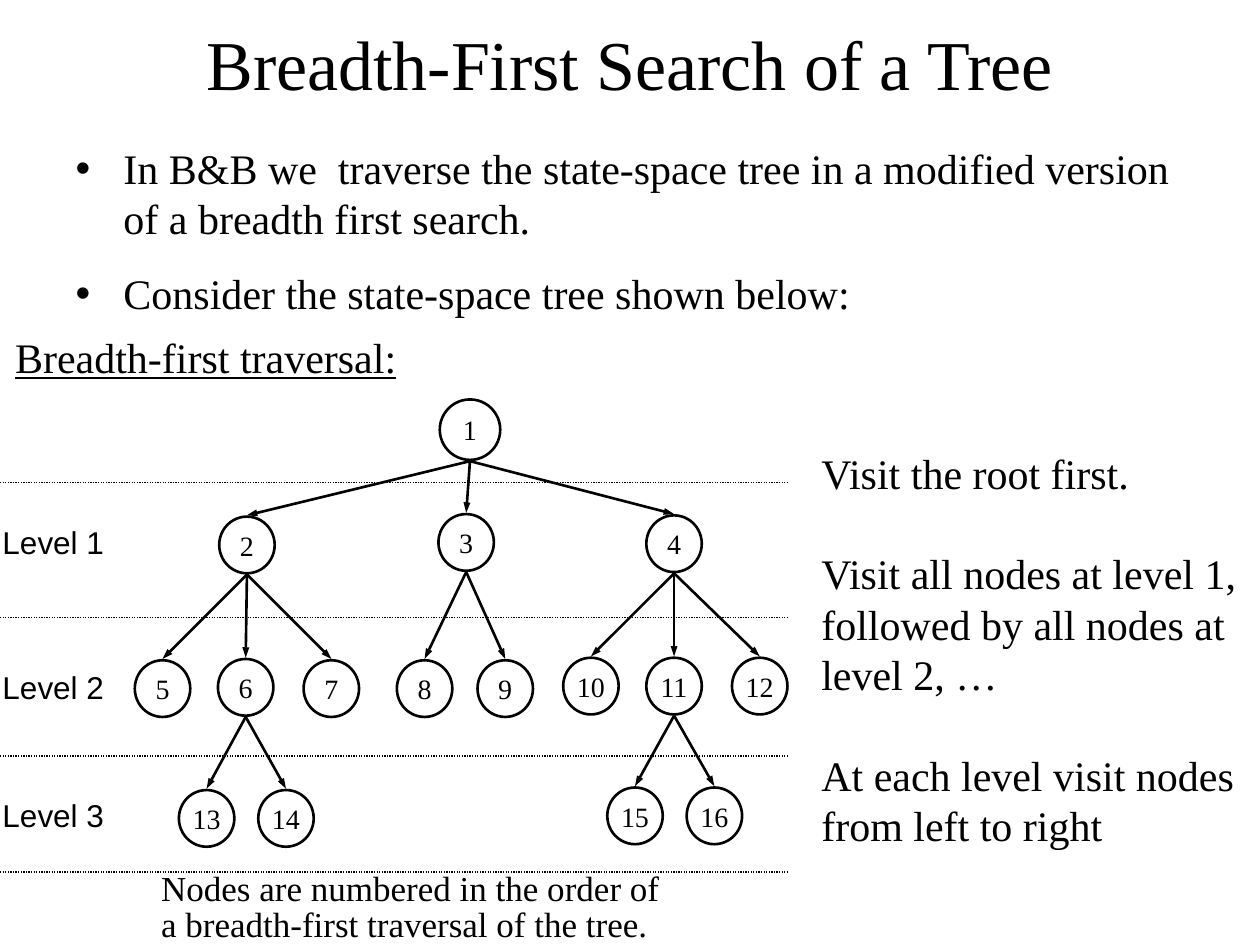
from lxml import etree
from pptx import Presentation
from pptx.dml.color import RGBColor
from pptx.enum.dml import MSO_LINE
from pptx.enum.shapes import MSO_CONNECTOR, MSO_SHAPE
from pptx.enum.text import MSO_ANCHOR, MSO_AUTO_SIZE, PP_ALIGN
from pptx.oxml.ns import qn
from pptx.util import Inches, Pt

LEFT, CENTER = PP_ALIGN.LEFT, PP_ALIGN.CENTER
TOP, MIDDLE = MSO_ANCHOR.TOP, MSO_ANCHOR.MIDDLE
STRAIGHT, OVAL, DOTS = MSO_CONNECTOR.STRAIGHT, MSO_SHAPE.OVAL, MSO_LINE.ROUND_DOT
FIXED = MSO_AUTO_SIZE.NONE

THEME = {
    "ink": RGBColor(0, 0, 0), "serif": "Times New Roman", "sans": "Arial",
    "title": 40, "body": 24, "note": 20, "label": 18, "node": 16,
    "edge": 1.5, "rule": 0.75,
}

TITLE = "Breadth-First Search of a Tree"
POINTS = [
    "In B&B we  traverse the state-space tree in a modified version of a breadth first search.",
    "Consider the state-space tree shown below:",
]
HEAD = "Breadth-first traversal:"
STEPS = [
    "Visit the root first.",
    "Visit all nodes at level 1, followed by all nodes at level 2, …",
    "At each level visit nodes from left to right",
]
NOTE = ["Nodes are numbered in the order of", "a breadth-first traversal of the tree."]
LEVELS = [("Level 1", 4.1), ("Level 2", 5.25), ("Level 3", 6.27)]
RULES = [3.83, 4.9, 6, 6.92]

# number: (centre x, top, parent)
NODES = {
    1: (3.73, 3.17, None),
    2: (1.96, 4.1, 1), 3: (3.7, 4.08, 1), 4: (5.35, 4.09, 1),
    5: (1.29, 5.24, 2), 6: (1.95, 5.23, 2), 7: (2.63, 5.24, 2),
    8: (3.37, 5.24, 3), 9: (4.01, 5.24, 3),
    10: (4.69, 5.22, 4), 11: (5.35, 5.22, 4), 12: (6.03, 5.22, 4),
    13: (1.64, 6.27, 6), 14: (2.27, 6.27, 6),
    15: (5.04, 6.25, 11), 16: (5.67, 6.25, 11),
}
ROOT_SIZE, NODE_SIZE, GAP = (0.48, 0.48), (0.44, 0.45), 0.01


def write(shape, lines, size, font="serif", align=LEFT, anchor=TOP, wrap=True,
          pad=(0.1, 0.05, 0.1, 0.05), before=0, under=None):
    frame = shape.text_frame
    frame.auto_size = FIXED
    frame.word_wrap = wrap
    frame.vertical_anchor = anchor
    (frame.margin_left, frame.margin_top,
     frame.margin_right, frame.margin_bottom) = map(Inches, pad)
    for i, line in enumerate(lines):
        para = frame.add_paragraph() if i else frame.paragraphs[0]
        para.alignment = align
        para.space_before = Pt(before if i else 0)
        run = para.add_run()
        run.text = line
        run.font.size = Pt(THEME[size])
        run.font.name = THEME[font]
        run.font.color.rgb = THEME["ink"]
        run.font.underline = under
    return frame.paragraphs


def place(shape, *box):
    shape.left, shape.top, shape.width, shape.height = map(Inches, box)
    return shape


def label(slide, box, lines, size, **form):
    return write(slide.shapes.add_textbox(*map(Inches, box)), lines, size, **form)


def link(slide, *ends, width="edge", arrow=False):
    line = slide.shapes.add_connector(STRAIGHT, *map(Inches, ends))
    line.line.color.rgb = THEME["ink"]
    line.line.width = Pt(THEME[width])
    if arrow:
        etree.SubElement(line.line._get_or_add_ln(), qn("a:tailEnd"),
                         type="triangle", w="sm", len="med")
    etree.SubElement(line._element.spPr, qn("a:effectLst"))
    return line


def bullet(para):
    props = para._p.get_or_add_pPr()
    props.set("marL", str(Inches(0.38)))
    props.set("indent", str(Inches(-0.38)))
    etree.SubElement(props, qn("a:buChar"), char="•")


def draw_tree(slide):
    for num, (x, top, parent) in NODES.items():
        wide, high = NODE_SIZE if parent else ROOT_SIZE
        node = slide.shapes.add_shape(
            OVAL, *map(Inches, (x - wide / 2, top, wide, high)))
        node.shadow.inherit = False
        node.fill.background()
        node.line.color.rgb = THEME["ink"]
        node.line.width = Pt(THEME["edge"])
        write(node, [str(num)], "node", align=CENTER, anchor=MIDDLE, wrap=False)
        if parent:
            px, ptop, above = NODES[parent]
            base = ptop + (NODE_SIZE if above else ROOT_SIZE)[1]
            link(slide, px, base + GAP, x, top - GAP, arrow=True)


def main():
    deck = Presentation()
    deck.slide_width, deck.slide_height = Inches(10), Inches(7.5)
    slide = deck.slides.add_slide(deck.slide_layouts[1])
    title, body = slide.placeholders
    write(place(title, 0.5, 0, 9, 1), [TITLE], "title", align=CENTER, anchor=MIDDLE)
    for para in write(place(body, 0.5, 1.08, 9.17, 6.42), POINTS, "body", before=14):
        bullet(para)

    label(slide, (1.18, 6.78, 4.32, 0.72), NOTE, "note",
          pad=(0.1, 0.1, 0.1, 0))[1].line_spacing = 0.85
    draw_tree(slide)
    label(slide, (0.06, 2.58, 3.18, 0.5), [HEAD], "body", wrap=False,
          pad=(0.06, 0.05, 0.1, 0.05), under=True)
    label(slide, (6.42, 3.5, 3.58, 3.3), STEPS, "body",
          pad=(0.1, 0.05, 0.06, 0.05), before=28.8)
    for text, y in LEVELS:
        label(slide, (0, y, 0.93, 0.4), [text], "label", font="sans", wrap=False,
              pad=(0.02, 0.05, 0.1, 0.05))
    for y in RULES:
        link(slide, 0, y, 6.25, y, width="rule").line.dash_style = DOTS
    deck.save("out.pptx")


if __name__ == "__main__":
    main()
